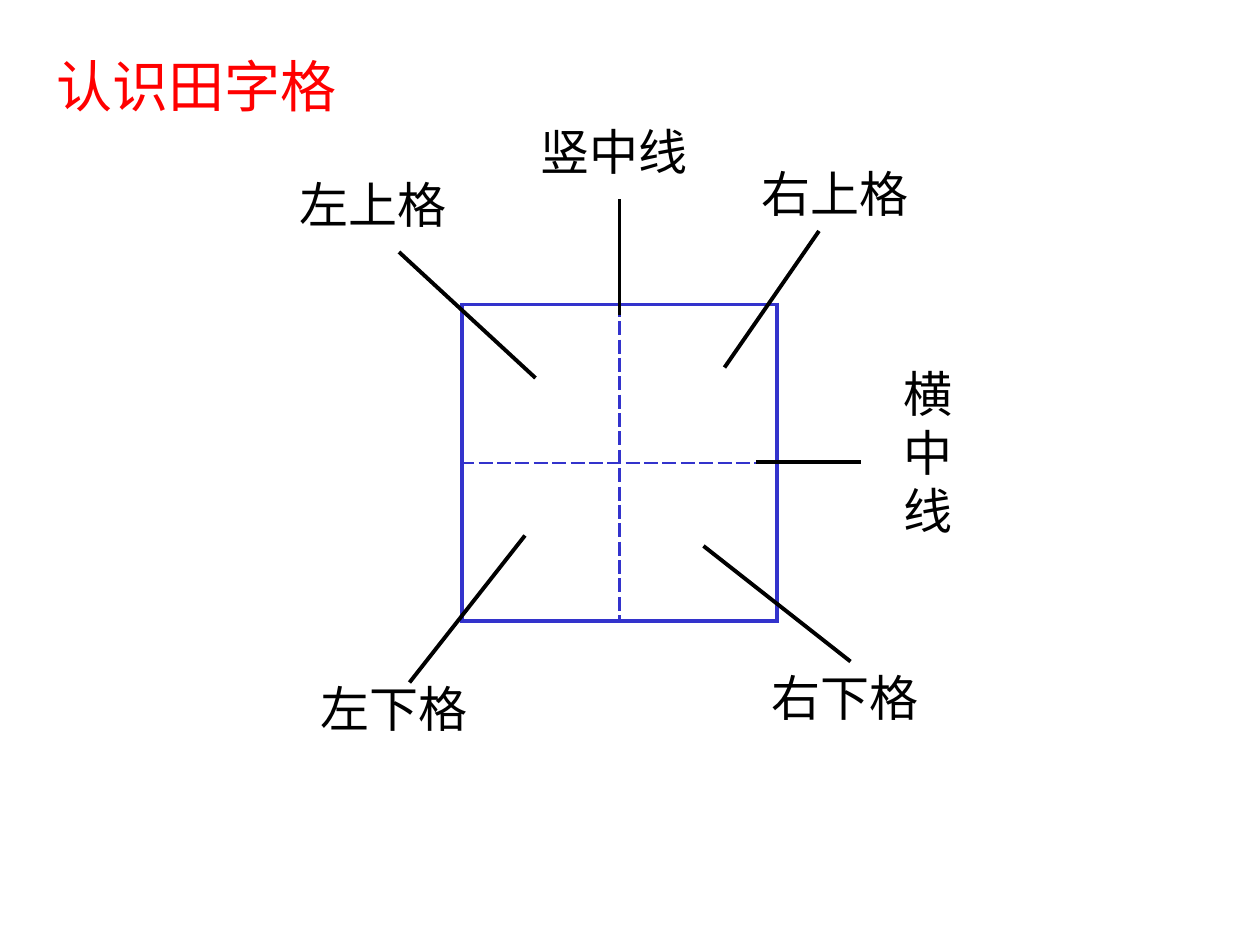
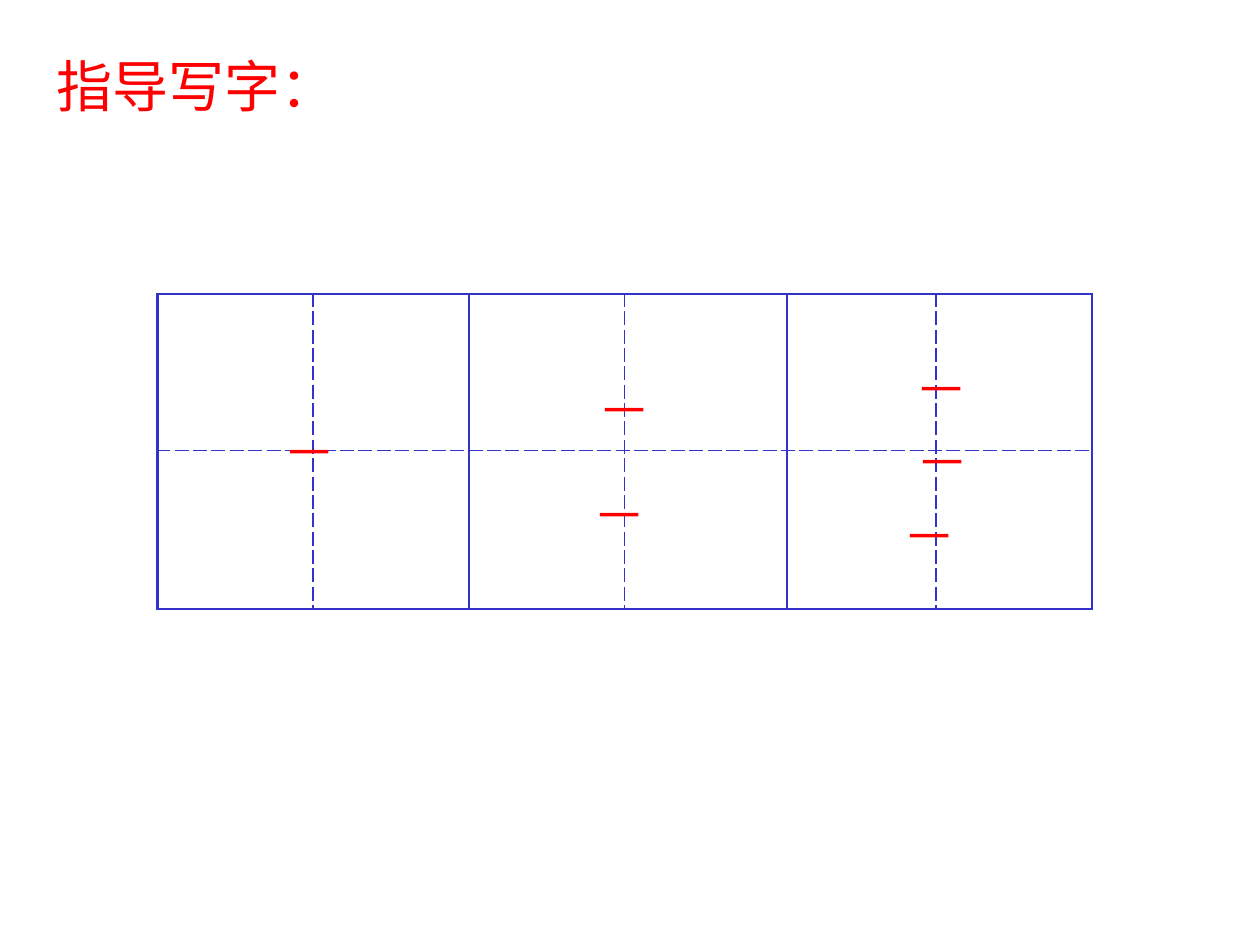
"""Build two slides about the four-square writing grid."""
from dataclasses import dataclass

from lxml import etree
from pptx import Presentation
from pptx.dml.color import RGBColor
from pptx.enum.shapes import MSO_CONNECTOR
from pptx.enum.text import MSO_ANCHOR, MSO_AUTO_SIZE, PP_ALIGN
from pptx.oxml.ns import qn
from pptx.util import Pt

LEFT, CENTER = PP_ALIGN.LEFT, PP_ALIGN.CENTER
TOP = MSO_ANCHOR.TOP
GROW, FIXED = MSO_AUTO_SIZE.SHAPE_TO_FIT_TEXT, MSO_AUTO_SIZE.NONE
STRAIGHT = MSO_CONNECTOR.STRAIGHT
TITLE_ONLY = 5
RED, BLACK, BLUE = "FF0000", "000000", "3333CC"
CHINESE_FONT = "Noto Sans CJK SC"
TITLE_BOX = (25.2, 26, 215, 46)


@dataclass(frozen=True)
class TextStyle:
    """Font, colour and layout of a text."""
    font: str
    size: float
    color: str
    align: PP_ALIGN = CENTER
    wrap: bool = True
    outline: float = 0


@dataclass(frozen=True)
class Label:
    """A name and the leader line that points from it into the grid."""
    text: str
    box: tuple[float, float, float, float]
    start: tuple[float, float]
    end: tuple[float, float]


@dataclass(frozen=True)
class Grid:
    """A row of writing squares, each split by dashed middle lines."""
    left: float
    top: float
    cols: tuple[float, ...]
    rows: tuple[float, ...]
    frame: float
    middle: float


TITLE = TextStyle("Arial", 32, RED, LEFT)
NAME = TextStyle("Times New Roman", 28, BLACK)
STROKE = TextStyle(CHINESE_FONT, 24, RED, wrap=False, outline=0.75)

LABELS = (
    Label("竖中线", (294, 66, 114, 41), (354, 180), (354, 114)),
    Label("左下格", (168, 384, 114, 41), (234, 390), (300, 306)),
    Label("右下格", (426, 378, 114, 41), (402, 312), (486, 378)),
    Label("左上格", (156, 96, 114, 41), (228, 144), (306, 216)),
    Label("右上格", (426, 90, 102, 41), (414, 210), (468, 132)),
    Label("横中线", (504, 204, 52.5, 108), (432, 264), (492, 264)),
)
ONE_SQUARE = Grid(264, 174, (90, 90), (90.5, 90.5), 2.21, 1.47)
THREE_SQUARES = Grid(90, 168, (89, 89, 89, 93, 85, 89), (89.5, 90.5), 1.47, 1.08)
STROKE_HEIGHT = 24
STROKES = ((108, 240, 138), (318, 216, 78), (282, 276, 144),
           (497, 204, 82), (504, 246, 69), (456, 288, 150))


def rgb(color: str) -> RGBColor:
    """Turn a hex string into a colour."""
    return RGBColor.from_string(color)


def add_line_xml(parent, tag: str, width: float, color: str, dash: str = "solid") -> None:
    """Append a line definition to an element."""
    ln = etree.SubElement(parent, qn(tag), w=str(int(Pt(width))))
    fill = etree.SubElement(ln, qn("a:solidFill"))
    etree.SubElement(fill, qn("a:srgbClr"), val=color)
    etree.SubElement(ln, qn("a:prstDash"), val=dash)


def write(s, text: str, style: TextStyle) -> None:
    """Put one styled paragraph into a shape."""
    tf = s.text_frame
    frame = {"word_wrap": style.wrap, "auto_size": GROW if style.wrap else FIXED,
             "vertical_anchor": TOP, "margin_left": Pt(7.2), "margin_right": Pt(7.2),
             "margin_top": Pt(3.6), "margin_bottom": Pt(3.6)}
    for key, value in frame.items():
        setattr(tf, key, value)
    p = tf.paragraphs[0]
    p.alignment = style.align
    r = p.add_run()
    r.text = text
    props = r.font._element
    if style.outline:
        add_line_xml(props, "a:ln", style.outline, style.color)
    for key, value in {"name": style.font, "size": Pt(style.size), "bold": False}.items():
        setattr(r.font, key, value)
    r.font.color.rgb = rgb(style.color)
    props.find(qn("a:latin")).addnext(
        etree.Element(qn("a:ea"), typeface=CHINESE_FONT))


def add_text(slide, text: str, box: tuple[float, ...], style: TextStyle) -> None:
    """Add a text box."""
    write(slide.shapes.add_textbox(*map(Pt, box)), text, style)


def add_titled_slide(prs, text: str):
    """Add a slide with the shared red title."""
    slide = prs.slides.add_slide(prs.slide_layouts[TITLE_ONLY])
    title = slide.shapes.title
    for key, value in zip(("left", "top", "width", "height"), TITLE_BOX):
        setattr(title, key, Pt(value))
    write(title, text, TITLE)
    return slide


def add_leader(slide, label: Label) -> None:
    """Draw the leader line of a label."""
    s = slide.shapes.add_connector(STRAIGHT, *map(Pt, label.start + label.end))
    s.line.width = Pt(2.25)
    s.line.color.rgb = rgb(BLACK)
    etree.SubElement(s._element.spPr, qn("a:effectLst"))


def add_grid(slide, grid: Grid) -> None:
    """Draw writing squares as a table with solid frames and dashed middles."""
    n_rows, n_cols = len(grid.rows), len(grid.cols)
    size = (grid.left, grid.top, sum(grid.cols), sum(grid.rows))
    table = slide.shapes.add_table(n_rows, n_cols, *map(Pt, size)).table
    table.first_row = table.horz_banding = False
    for col, width in zip(table.columns, grid.cols):
        col.width = Pt(width)
    for row, height in zip(table.rows, grid.rows):
        row.height = Pt(height)
    for i in range(n_rows):
        for j in range(n_cols):
            cell = table.cell(i, j)
            tc_pr = cell._tc.get_or_add_tcPr()
            on_frame = {"a:lnL": j % 2 == 0, "a:lnR": j % 2 == 1,
                        "a:lnT": i == 0, "a:lnB": i == n_rows - 1}
            for tag, solid in on_frame.items():
                width, dash = (grid.frame, "solid") if solid else (grid.middle, "dash")
                add_line_xml(tc_pr, tag, width, BLUE, dash)
            cell.fill.background()


def main() -> None:
    """Build and save the presentation."""
    prs = Presentation()
    prs.slide_width, prs.slide_height = Pt(720), Pt(540)

    slide = add_titled_slide(prs, "认识田字格")
    add_grid(slide, ONE_SQUARE)
    for label in LABELS:
        add_leader(slide, label)
        add_text(slide, label.text, label.box, NAME)

    slide = add_titled_slide(prs, "指导写字：")
    add_grid(slide, THREE_SQUARES)
    for left, top, width in STROKES:
        add_text(slide, "一", (left, top, width, STROKE_HEIGHT), STROKE)

    prs.save("out.pptx")


if __name__ == "__main__":
    main()
